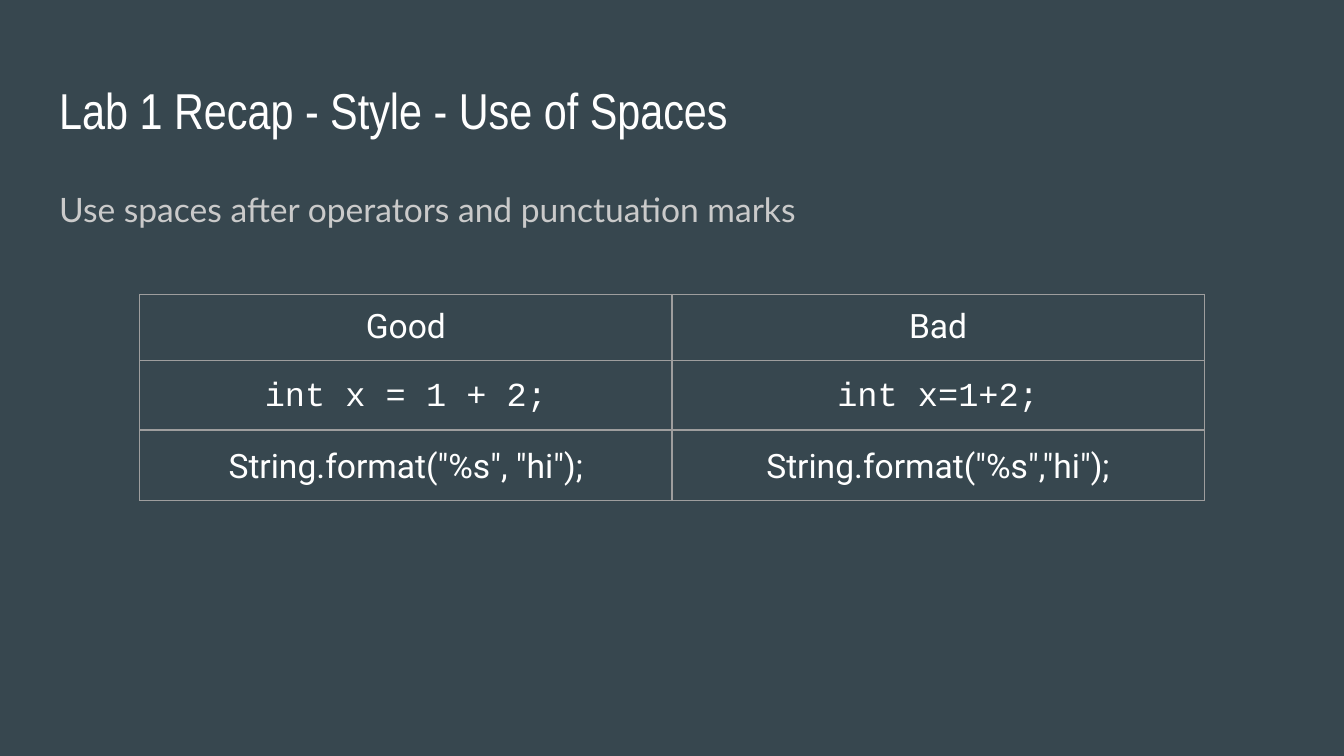
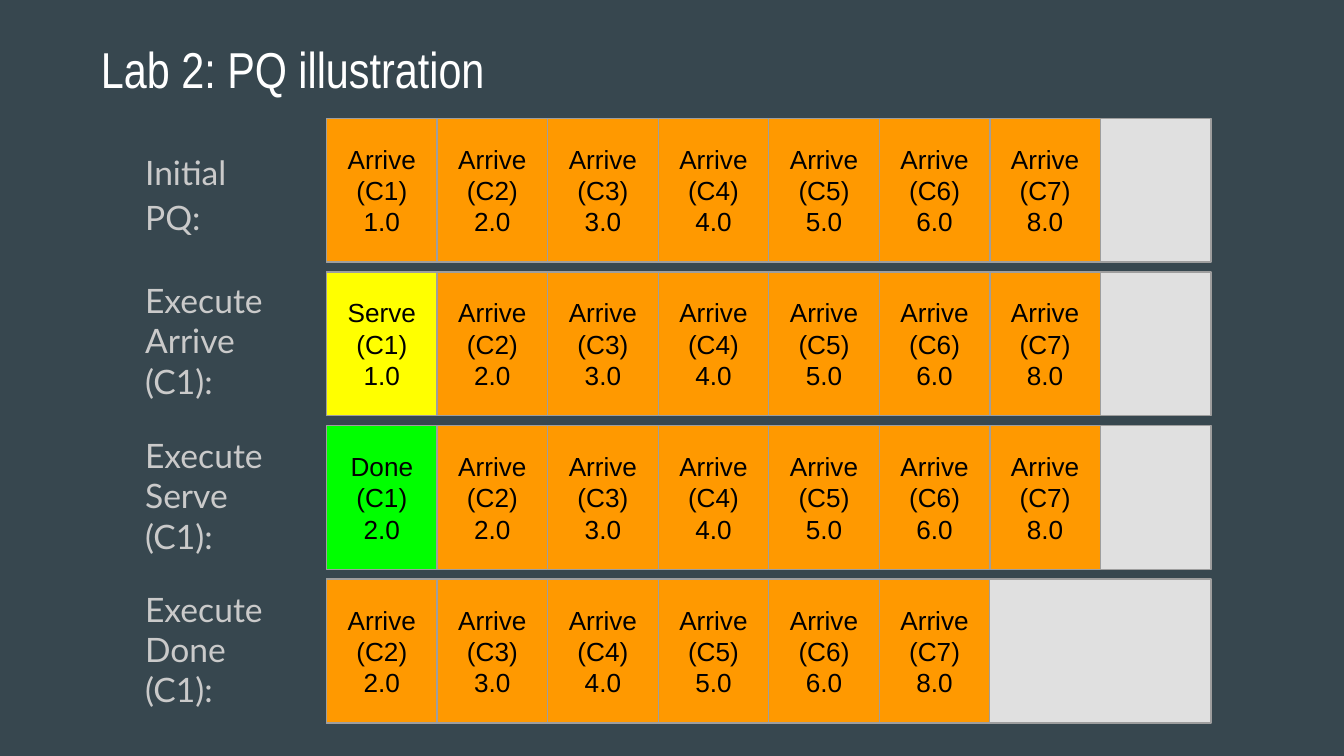
import pptx
import pptx.util
import pptx.dml.color
import pptx.enum.shapes
import pptx.enum.text
import pptx.oxml
import pptx.oxml.ns
import lxml.etree

Inches, Pt = pptx.util.Inches, pptx.util.Pt
ALIGN = pptx.enum.text.PP_ALIGN
ANCHOR = pptx.enum.text.MSO_ANCHOR

# Content
STYLE_TITLE = "Lab 1 Recap - Style - Use of Spaces"
STYLE_RULE = "Use spaces after operators and punctuation marks"
# font, line spacing, (good, bad)
EXAMPLES = [
    ("Roboto", 1.0, ("Good", "Bad")),
    ("Courier New", 1.11, ("int x = 1 + 2;", "int x=1+2;")),
    ("Roboto", 1.11, ('String.format("%s", "hi");', 'String.format("%s","hi");')),
]

QUEUE_TITLE = "Lab 2: PQ illustration"
WAITING = [("Arrive", f"C{n}", time) for n, time in
           enumerate(("2.0", "3.0", "4.0", "5.0", "6.0", "8.0"), start=2)]
# label, label width, label offset from its queue, line spacing, events
STAGES = [
    ("Initial PQ:", 0.96, 0.12, 1.11, [("Arrive", "C1", "1.0")] + WAITING),
    ("Execute Arrive (C1):", 1.35, -0.04, 1.0, [("Serve", "C1", "1.0")] + WAITING),
    ("Execute Serve (C1):", 1.35, -0.03, 1.0, [("Done", "C1", "2.0")] + WAITING),
    ("Execute Done (C1):", 1.35, -0.03, 1.0, WAITING),
]

# Shared look
COLORS = {
    "background": "37474F", "title": "FFFFFF", "body": "CACACA",
    "border": "9E9E9E", "queue": "E0E0E0", "event": "000000",
    "Arrive": "FF9900", "Serve": "FFFF00", "Done": "00FF00",
}
SLIDE_W = 10
SLIDE_H = SLIDE_W * 9 / 16
TITLE_W, TITLE_H = 9.32, 0.63
BORDER = 0.75

# Grids
TABLE_LEFT, TABLE_TOP, COLUMN_W, ROW_H = 1.04, 2.19, 3.96, 0.42
QUEUE_LEFT, QUEUE_TOP, QUEUE_W, QUEUE_H = 2.43, 0.88, 6.58, 1.07
QUEUE_SLOTS = 8
QUEUE_STEP = (4.31 - QUEUE_TOP) / (len(STAGES) - 1)
LABEL_LEFT, LABEL_H = 0.98, 1.15


def rgb(name):
    return pptx.dml.color.RGBColor.from_string(COLORS[name])


def write(frame, lines, font, size, color, align, spacing=1.0):
    for i, line in enumerate(lines):
        paragraph = frame.paragraphs[0] if i == 0 else frame.add_paragraph()
        paragraph.alignment = align
        paragraph.line_spacing = spacing
        paragraph.space_before = paragraph.space_after = Pt(0)
        run = paragraph.add_run()
        run.text = line
        run.font.name, run.font.size, run.font.bold = font, Pt(size), False
        run.font.color.rgb = rgb(color)


def set_frame(frame, anchor):
    frame.word_wrap = True
    frame.auto_size = pptx.enum.text.MSO_AUTO_SIZE.NONE
    frame.vertical_anchor = anchor
    frame.margin_left = frame.margin_right = Inches(0.1)
    frame.margin_top = frame.margin_bottom = Inches(0.1)


def place(holder, left, top, width, height):
    holder.left, holder.top = Inches(left), Inches(top)
    holder.width, holder.height = Inches(width), Inches(height)
    set_frame(holder.text_frame, ANCHOR.TOP)


def add_title(slide, title, left, top):
    place(slide.shapes.title, left, top, TITLE_W, TITLE_H)
    write(slide.shapes.title.text_frame, [title], "Arial Narrow", 27, "title", ALIGN.LEFT)


def fill_body(holder, body, box, spacing):
    place(holder, *box)
    write(holder.text_frame, [body], "Lato", 18, "body", ALIGN.LEFT, spacing)
    properties = holder.text_frame.paragraphs[0]._p.get_or_add_pPr()
    properties.set("marL", "0")
    properties.set("indent", "0")
    lxml.etree.SubElement(properties, pptx.oxml.ns.qn("a:buNone"))


def outline_cell(cell):
    properties = cell._tc.get_or_add_tcPr()
    for side in ("lnL", "lnR", "lnT", "lnB"):
        properties.append(pptx.oxml.parse_xml(
            f'<a:{side} {pptx.oxml.ns.nsdecls("a")} w="{Pt(BORDER)}"><a:solidFill>'
            f'<a:srgbClr val="{COLORS["border"]}"/></a:solidFill></a:{side}>'))
    cell.fill.background()


def add_box(slide, left, top, width, fill):
    box = slide.shapes.add_shape(
        pptx.enum.shapes.MSO_SHAPE.RECTANGLE,
        Inches(left), Inches(top), Inches(width), Inches(QUEUE_H))
    box.shadow.inherit = False
    box.fill.solid()
    box.fill.fore_color.rgb = rgb(fill)
    box.line.color.rgb = rgb("border")
    box.line.width = Pt(BORDER)
    return box


def build_style_slide(prs):
    slide = prs.slides.add_slide(prs.slide_layouts.get_by_name("Title and Content"))
    add_title(slide, STYLE_TITLE, 0.34, 0.49)
    fill_body(slide.placeholders[1], STYLE_RULE, (0.34, 1.26, TITLE_W, 3.74), 1.15)

    # Good and bad examples
    columns = len(EXAMPLES[0][2])
    examples = slide.shapes.add_table(
        len(EXAMPLES), columns, Inches(TABLE_LEFT), Inches(TABLE_TOP),
        Inches(columns * COLUMN_W), Inches(len(EXAMPLES) * ROW_H)).table
    examples.first_row = examples.horz_banding = False
    for r, (font, spacing, codes) in enumerate(EXAMPLES):
        for c, code in enumerate(codes):
            cell = examples.cell(r, c)
            cell.margin_left = cell.margin_right = Inches(0.1)
            cell.margin_top = cell.margin_bottom = Inches(0.1)
            outline_cell(cell)
            write(cell.text_frame, [code], font, 18, "title", ALIGN.CENTER, spacing)


def build_queue_slide(prs):
    slide = prs.slides.add_slide(prs.slide_layouts.get_by_name("Comparison"))
    add_title(slide, QUEUE_TITLE, 0.65, 0.18)
    labels = [p for p in slide.placeholders if p.placeholder_format.idx > 0]
    slot_w = QUEUE_W / QUEUE_SLOTS

    # One labelled queue per stage
    for row, (label, label_w, offset, spacing, events) in enumerate(STAGES):
        top = QUEUE_TOP + row * QUEUE_STEP
        fill_body(labels[row], label, (LABEL_LEFT, top + offset, label_w, LABEL_H), spacing)
        add_box(slide, QUEUE_LEFT, top, QUEUE_W, "queue")
        for slot, (kind, customer, time) in enumerate(events):
            event = add_box(slide, QUEUE_LEFT + slot * slot_w, top, slot_w, kind)
            set_frame(event.text_frame, ANCHOR.MIDDLE)
            write(event.text_frame, [f"{kind} ({customer})", time],
                  "Arial", 14, "event", ALIGN.CENTER)


def main():
    prs = pptx.Presentation()
    prs.slide_width, prs.slide_height = Inches(SLIDE_W), Inches(SLIDE_H)
    background = prs.slide_master.background.fill
    background.solid()
    background.fore_color.rgb = rgb("background")
    build_style_slide(prs)
    build_queue_slide(prs)
    prs.save("out.pptx")


if __name__ == "__main__":
    main()
